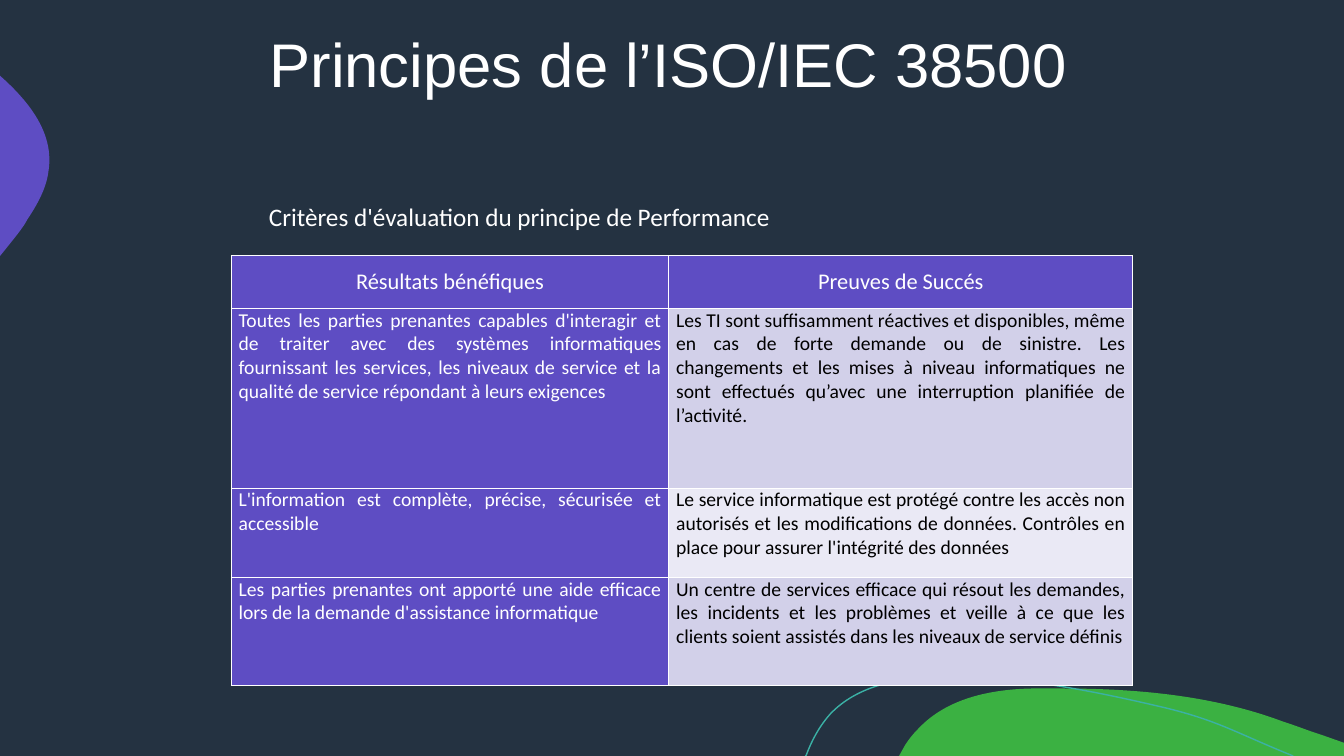
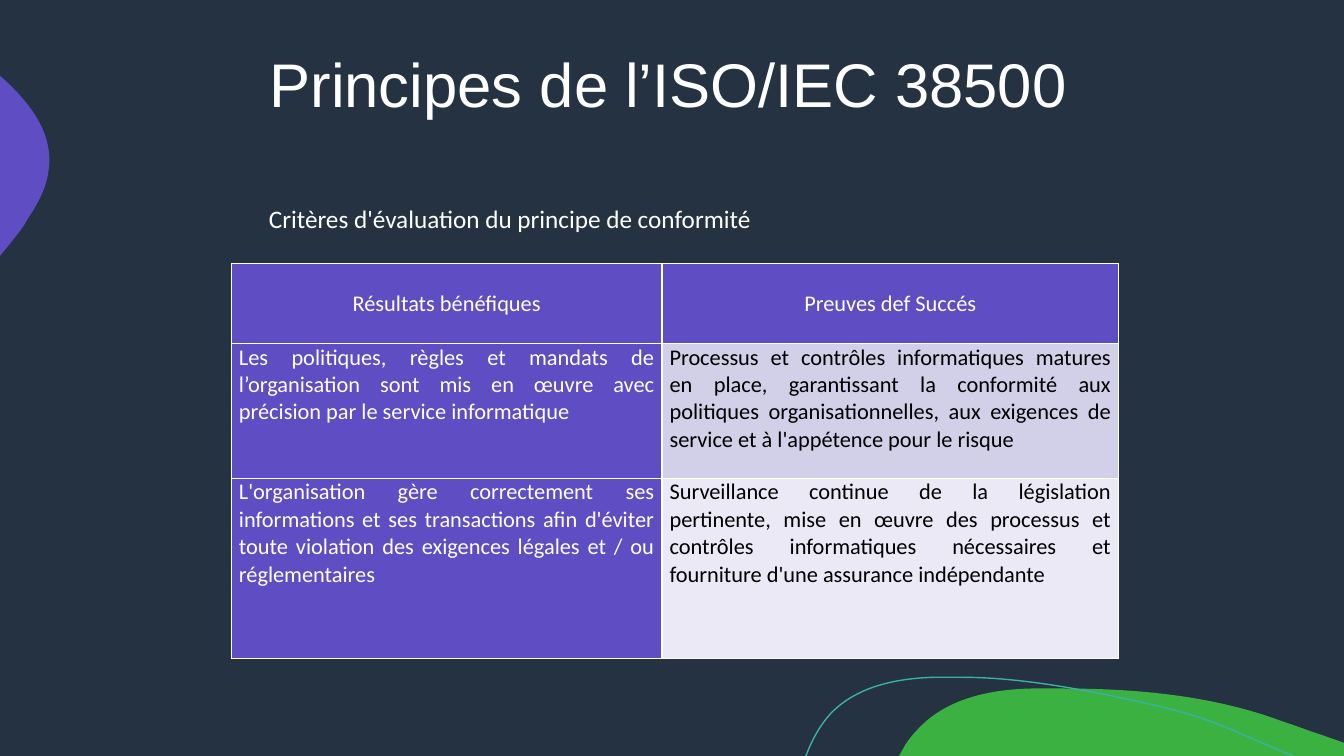
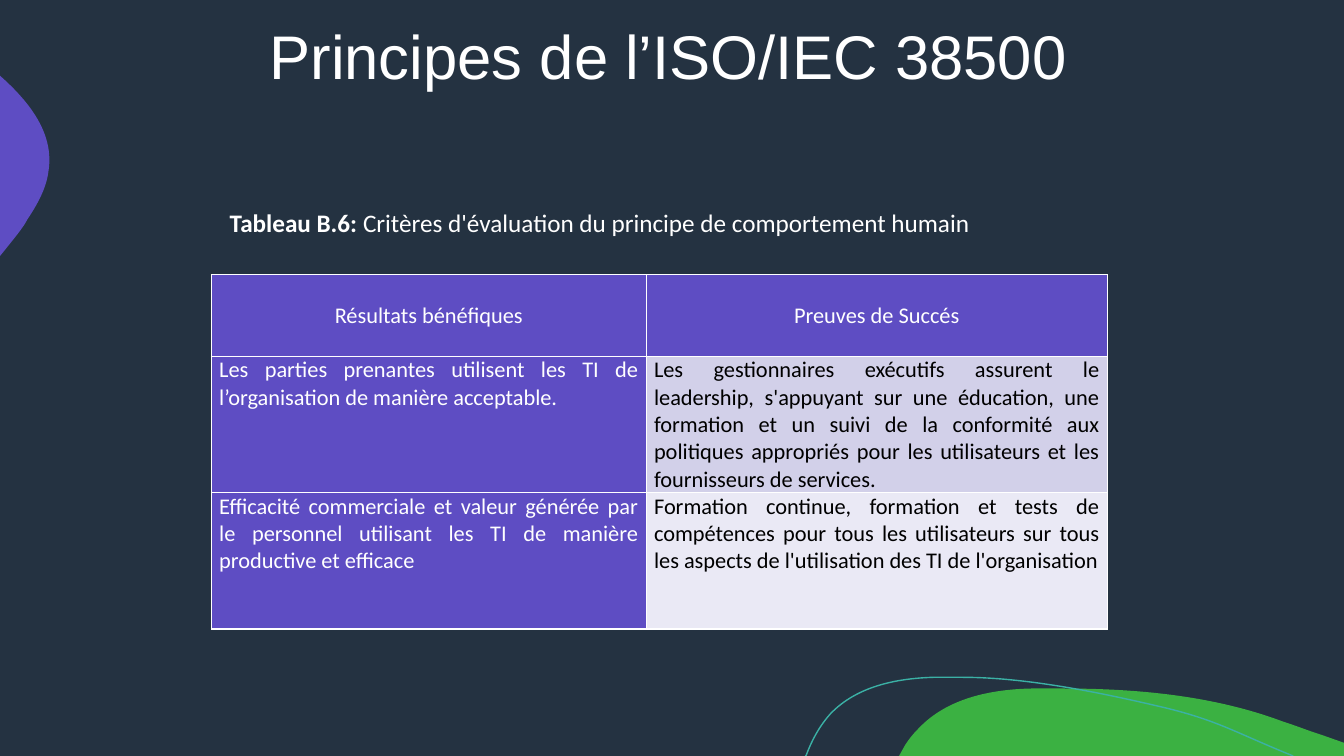
"""Build three slides on the evaluation criteria of the ISO/IEC 38500 principles."""
from dataclasses import dataclass
from typing import Optional

from lxml import etree
from pptx import Presentation
from pptx import util as u
from pptx.dml import color
from pptx.enum import text
from pptx.oxml import ns

Pt = u.Pt
WHITE, BLACK, NAVY = "FFFFFF", "000000", "243241"
PURPLE, GREEN, TEAL = "5E4DC3", "3BB142", "3BB1A5"
BANDS = ("D2D0E9", "EAE9F5")
TITLE = "Principes de l’ISO/IEC 38500"
TITLE_LEFT, TITLE_WIDTH, TITLE_HEIGHT = 185.4, 680, 90
CAPTION_HEIGHT = 29


@dataclass(frozen=True)
class Wave:
    start: tuple[float, float]
    segments: tuple[tuple[float, ...], ...]
    fill: Optional[str] = None
    line: Optional[str] = None


@dataclass(frozen=True)
class Caption:
    left: float
    top: float
    width: float
    words: str
    lead: str = ""


@dataclass(frozen=True)
class Grid:
    left: float
    top: float
    columns: tuple[float, float]
    heights: tuple[float, ...]
    rows: tuple[tuple[str, str], ...]
    body_size: float = 16
    inset: float = 5.4


@dataclass(frozen=True)
class Criteria:
    title_top: float
    caption: Caption
    grid: Grid


WAVES = (
    Wave((758.9, 491.8), (
        (812.2, 491.8, 866.9, 496.8, 916.6, 515.5),
        (925.9, 518.4, 934.6, 522, 943.9, 524.9),
        (960, 530.6), (960, 540), (642.2, 540), (646.6, 532.1),
        (649.4, 527.8, 652.3, 524.2, 655.9, 520.6),
        (676.1, 499, 707, 492.5, 736.6, 491.8),
        (743.8, 491.8, 751, 491.8, 758.9, 491.8),
    ), fill=GREEN),
    Wave((0, 54), (
        (0.7, 54.7),
        (21.6, 73.4, 38.9, 95.8, 34.6, 122.4),
        (33.1, 134.6, 26.6, 146.2, 19.4, 157),
        (17.3, 161.3, 12.2, 167.8, 5.8, 175.7),
        (0, 182.9),
    ), fill=PURPLE),
    Wave((575.3, 540), (
        (576, 539.3),
        (580.3, 527.8, 586.1, 517.7, 593.3, 509.8),
        (612, 490.3, 640.1, 484.6, 666.7, 483.8),
        (687.6, 483.8),
        (735.8, 483.8, 792, 496.1, 831.6, 505.4),
        (870.5, 514.8, 882.7, 523.4, 923.8, 540),
    ), line=TEAL),
)

SLIDES = (
    Criteria(
        3,
        Caption(185, 140.3, 422, "Critères d'évaluation du principe de Performance"),
        Grid(165.3, 182.4, (312.5, 331.4), (37.9, 128.4, 63.8, 77.2), (
            ("Résultats bénéfiques", "Preuves de Succés"),
            ("Toutes les parties prenantes capables d'interagir et de traiter avec des "
             "systèmes informatiques fournissant les services, les niveaux de service et "
             "la qualité de service répondant à leurs exigences",
             "Les TI sont suffisamment réactives et disponibles, même en cas de forte "
             "demande ou de sinistre. Les changements et les mises à niveau informatiques "
             "ne sont effectués qu’avec une interruption planifiée de l’activité."),
            ("L'information est complète, précise, sécurisée et accessible",
             "Le service informatique est protégé contre les accès non autorisés et les "
             "modifications de données. Contrôles en place pour assurer l'intégrité des "
             "données"),
            ("Les parties prenantes ont apporté une aide efficace lors de la demande "
             "d'assistance informatique",
             "Un centre de services efficace qui résout les demandes, les incidents et "
             "les problèmes et veille à ce que les clients soient assistés dans les "
             "niveaux de service définis"),
        ), body_size=14, inset=5.2),
    ),
    Criteria(
        17.4,
        Caption(185, 141.3, 408, "Critères d'évaluation du principe de conformité"),
        Grid(165.3, 188.1, (307.6, 326.2), (57.4, 96.4, 128.8), (
            ("Résultats bénéfiques", "Preuves def Succés"),
            ("Les politiques, règles et mandats de l’organisation sont mis en œuvre avec "
             "précision par le service informatique",
             "Processus et contrôles informatiques matures en place, garantissant la "
             "conformité aux politiques organisationnelles, aux exigences de service et à "
             "l'appétence pour le risque"),
            ("L'organisation gère correctement ses informations et ses transactions afin "
             "d'éviter toute violation des exigences légales et / ou réglementaires",
             "Surveillance continue de la législation pertinente, mise en œuvre des "
             "processus et contrôles informatiques nécessaires et fourniture d'une "
             "assurance indépendante"),
        )),
    ),
    Criteria(
        -2.2,
        Caption(157, 144.3, 620, "Critères d'évaluation du principe de comportement humain",
                lead="Tableau B.6: "),
        Grid(151, 196.2, (310.6, 329.4), (58.3, 97.4, 97.4), (
            ("Résultats bénéfiques", "Preuves de Succés"),
            ("Les parties prenantes utilisent les TI de l’organisation de manière "
             "acceptable.",
             "Les gestionnaires exécutifs assurent le leadership, s'appuyant sur une "
             "éducation, une formation et un suivi de la conformité aux politiques "
             "appropriés pour les utilisateurs et les fournisseurs de services."),
            ("Efficacité commerciale et valeur générée par le personnel utilisant les TI "
             "de manière productive et efficace",
             "Formation continue, formation et tests de compétences pour tous les "
             "utilisateurs sur tous les aspects de l'utilisation des TI de "
             "l'organisation"),
        ), inset=5.6),
    ),
)


def paint(fill, hex_color: str) -> None:
    fill.solid()
    fill.fore_color.rgb = color.RGBColor.from_string(hex_color)


def set_font(paragraph, name: str, size: float, hex_color: str) -> None:
    font = paragraph.font
    font.name, font.size = name, Pt(size)
    paint(font.fill, hex_color)


def bend_segments(shape, segments: tuple[tuple[float, ...], ...]) -> None:
    sides = list(shape._element.iter(ns.qn("a:lnTo")))
    for side, segment in zip(sides, segments):
        if len(segment) == 2:
            continue
        side.tag = ns.qn("a:cubicBezTo")
        for i in (0, 2):
            control = etree.Element(
                ns.qn("a:pt"),
                x=str(Pt(segment[i]) - shape.left),
                y=str(Pt(segment[i + 1]) - shape.top))
            side.insert(i // 2, control)


def draw_wave(slide, wave: Wave) -> None:
    builder = slide.shapes.build_freeform(*map(Pt, wave.start))
    ends = [(Pt(segment[-2]), Pt(segment[-1])) for segment in wave.segments]
    builder.add_line_segments(ends, close=wave.fill is not None)
    shape = builder.convert_to_shape()
    bend_segments(shape, wave.segments)
    shape.shadow.inherit = False
    if wave.fill:
        paint(shape.fill, wave.fill)
    else:
        shape.fill.background()
    if wave.line:
        paint(shape.line.fill, wave.line)
        shape.line.width = Pt(1)
    else:
        shape.line.fill.background()


def add_text_box(slide, left: float, top: float, width: float, height: float):
    frame = slide.shapes.add_textbox(Pt(left), Pt(top), Pt(width), Pt(height)).text_frame
    frame.word_wrap = True
    frame.vertical_anchor = text.MSO_ANCHOR.MIDDLE
    return frame.paragraphs[0]


def draw_title(slide, top: float) -> None:
    paragraph = add_text_box(slide, TITLE_LEFT, top, TITLE_WIDTH, TITLE_HEIGHT)
    paragraph.text = TITLE
    paragraph.line_spacing = 0.9
    set_font(paragraph, "Arial", 44, WHITE)


def draw_caption(slide, caption: Caption) -> None:
    paragraph = add_text_box(slide, caption.left, caption.top, caption.width, CAPTION_HEIGHT)
    set_font(paragraph, "Calibri", 18, WHITE)
    if caption.lead:
        lead = paragraph.add_run()
        lead.text = caption.lead
        lead.font.bold = True
    paragraph.add_run().text = caption.words


def add_borders(cell, hex_color: str, width: float) -> None:
    properties = cell._tc.get_or_add_tcPr()
    for side in ("a:lnL", "a:lnR", "a:lnT", "a:lnB"):
        line = etree.SubElement(properties, ns.qn(side), w=str(Pt(width)))
        solid = etree.SubElement(line, ns.qn("a:solidFill"))
        etree.SubElement(solid, ns.qn("a:srgbClr"), val=hex_color)


def draw_grid(slide, grid: Grid) -> None:
    frame = slide.shapes.add_table(
        len(grid.rows), len(grid.columns), Pt(grid.left), Pt(grid.top),
        Pt(sum(grid.columns)), Pt(sum(grid.heights)))
    table = frame.table
    table.first_row = table.horz_banding = False
    for column, width in zip(table.columns, grid.columns):
        column.width = Pt(width)
    for i, (height, words) in enumerate(zip(grid.heights, grid.rows)):
        table.rows[i].height = Pt(height)
        header = i == 0
        for j, content in enumerate(words):
            cell = table.cell(i, j)
            purple = header or j == 0
            add_borders(cell, WHITE, 1)
            paint(cell.fill, PURPLE if purple else BANDS[(i - 1) % 2])
            cell.margin_left = cell.margin_right = Pt(grid.inset)
            cell.margin_top = cell.margin_bottom = Pt(0)
            cell.vertical_anchor = text.MSO_ANCHOR.MIDDLE if header else text.MSO_ANCHOR.TOP
            paragraph = cell.text_frame.paragraphs[0]
            paragraph.text = content
            paragraph.alignment = text.PP_ALIGN.CENTER if header else text.PP_ALIGN.JUSTIFY
            set_font(paragraph, "Calibri", 16 if header else grid.body_size,
                     WHITE if purple else BLACK)


def main() -> None:
    presentation = Presentation()
    presentation.slide_width, presentation.slide_height = Pt(960), Pt(540)
    paint(presentation.slide_master.background.fill, NAVY)
    for criteria in SLIDES:
        slide = presentation.slides.add_slide(presentation.slide_layouts[6])
        for wave in WAVES:
            draw_wave(slide, wave)
        draw_title(slide, criteria.title_top)
        draw_grid(slide, criteria.grid)
        draw_caption(slide, criteria.caption)
    presentation.save("out.pptx")


if __name__ == "__main__":
    main()
